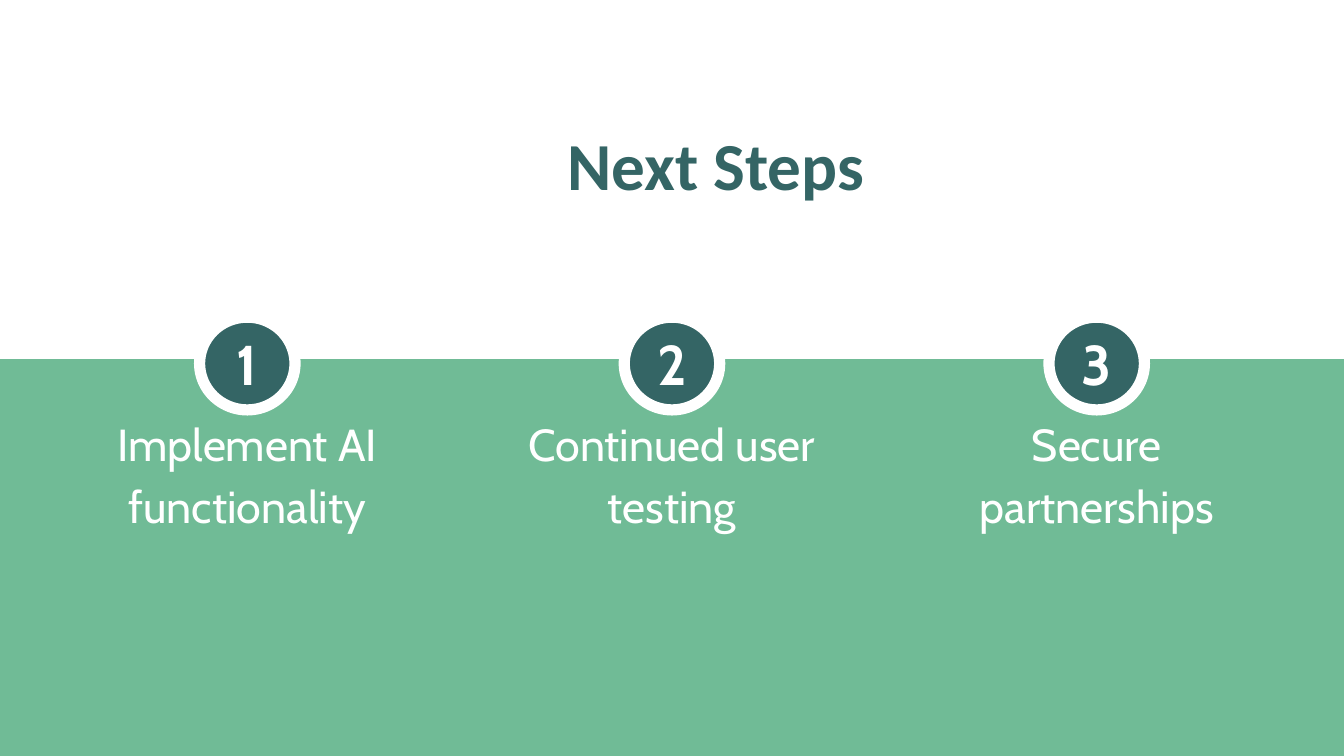
from pptx import Presentation
from pptx.dml.color import RGBColor
from pptx.enum import shapes, text
from pptx.util import Inches, Pt

GREEN = RGBColor(0x70, 0xBB, 0x96)
TEAL = RGBColor(0x34, 0x65, 0x65)
WHITE = RGBColor(0xFF, 0xFF, 0xFF)

SLIDE_W = 10
SLIDE_H = SLIDE_W * 9 / 16
BAND_TOP = 2.68
BADGE_W, BADGE_H = 0.71, 0.69
STEP_TOP, STEP_PITCH = 2.36, 3.16
CAPTION_DROP = 0.58  # from the top of the badge to the top of its caption

# Caption, caption width, caption height
STEPS = [
    ("Implement AI functionality", 3.1, 1.55),
    ("Continued user testing", 3.1, 1.09),
    ("Secure partnerships", 2.59, 1.09),
]


def write(frame, words, font, size, color, bold=False,
          anchor=text.MSO_ANCHOR.TOP):
    """Put one centred paragraph in a frame and return the paragraph."""
    frame.word_wrap = True
    frame.auto_size = text.MSO_AUTO_SIZE.NONE
    frame.vertical_anchor = anchor
    frame.margin_left = frame.margin_right = Inches(0.1)
    frame.margin_top = frame.margin_bottom = Inches(0.1)
    frame.text = words
    paragraph = frame.paragraphs[0]
    paragraph.alignment = text.PP_ALIGN.CENTER
    paragraph.font.name = font
    paragraph.font.size = Pt(size)
    paragraph.font.bold = bold
    paragraph.font.color.rgb = color
    return paragraph


def add_filled(slide, kind, left, top, width, height, fill, line, line_width):
    shape = slide.shapes.add_shape(
        kind, Inches(left), Inches(top), Inches(width), Inches(height))
    shape.shadow.inherit = False
    shape.fill.solid()
    shape.fill.fore_color.rgb = fill
    shape.line.color.rgb = line
    shape.line.width = Pt(line_width)
    return shape


def place_title(slide, left, top, width, height):
    title = slide.shapes.title
    title.left, title.top = Inches(left), Inches(top)
    title.width, title.height = Inches(width), Inches(height)
    write(title.text_frame, "Next Steps", "Calibri", 36, TEAL, bold=True)


def add_step(slide, center, top, number, words, width, height):
    # Caption under the badge
    caption = slide.shapes.add_textbox(
        Inches(center - width / 2), Inches(top + CAPTION_DROP),
        Inches(width), Inches(height))
    paragraph = write(caption.text_frame, words, "Cabin", 24, WHITE)
    paragraph.line_spacing = 1.15

    # Numbered badge on the edge of the band
    badge = add_filled(slide, shapes.MSO_SHAPE.OVAL, center - BADGE_W / 2, top,
                       BADGE_W, BADGE_H, TEAL, WHITE, 6)
    write(badge.text_frame, str(number), "Cabin", 30, WHITE, bold=True,
          anchor=text.MSO_ANCHOR.MIDDLE)


def add_steps(slide, middle, top):
    for index, (words, width, height) in enumerate(STEPS):
        center = middle + (index - (len(STEPS) - 1) / 2) * STEP_PITCH
        add_step(slide, center, top, index + 1, words, width, height)


def main():
    deck = Presentation()
    deck.slide_width, deck.slide_height = Inches(SLIDE_W), Inches(SLIDE_H)
    slide = deck.slides.add_slide(deck.slide_layouts[5])  # Title Only

    place_title(slide, 1.75, 0.82, 7.15, 0.81)
    # Green band across the lower half
    add_filled(slide, shapes.MSO_SHAPE.RECTANGLE, 0, BAND_TOP, SLIDE_W,
               SLIDE_H - BAND_TOP, GREEN, GREEN, 0.75)
    add_steps(slide, SLIDE_W / 2, STEP_TOP)

    deck.save("out.pptx")


if __name__ == "__main__":
    main()
